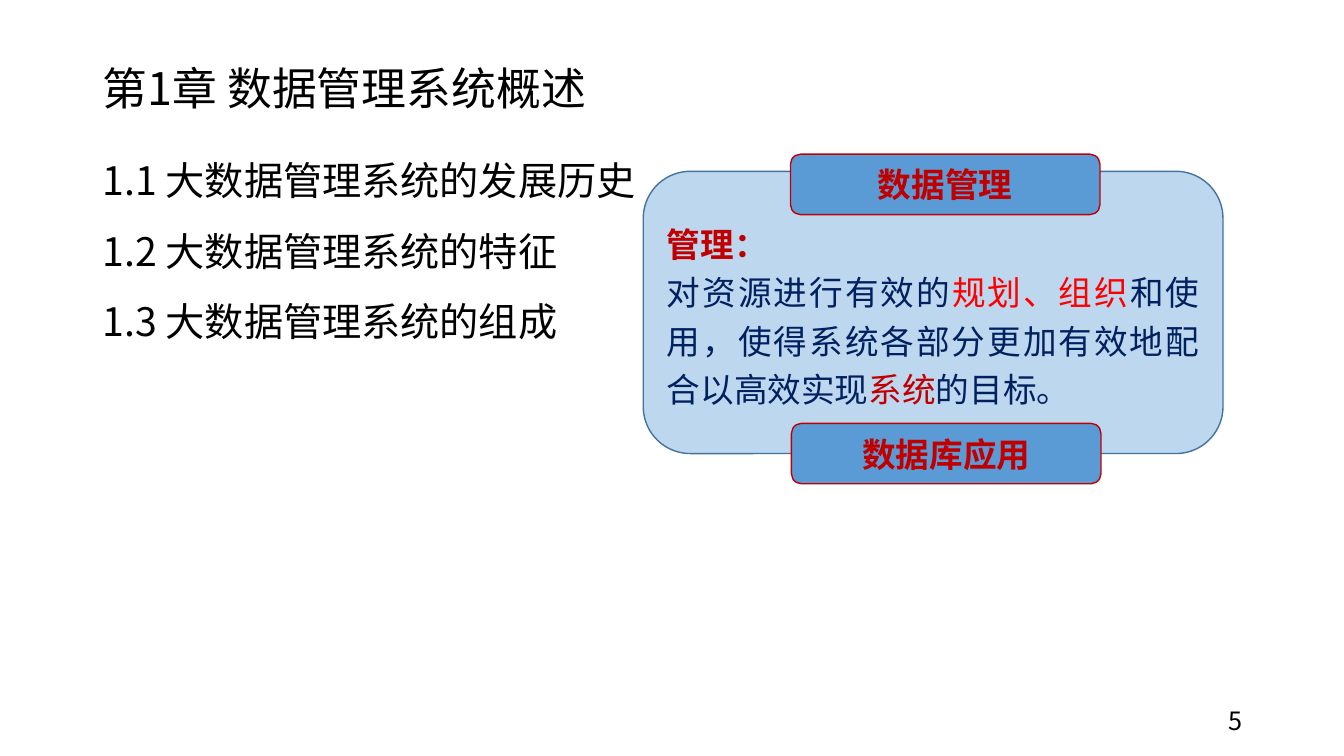
from lxml import etree
from pptx import Presentation
from pptx.dml.color import RGBColor
from pptx.enum.shapes import MSO_SHAPE
from pptx.enum.text import MSO_ANCHOR, PP_ALIGN
from pptx.oxml.ns import qn
from pptx.util import Inches, Pt

ROUNDED = MSO_SHAPE.ROUNDED_RECTANGLE
TOP, MIDDLE = MSO_ANCHOR.TOP, MSO_ANCHOR.MIDDLE
LEFT, CENTER = PP_ALIGN.LEFT, PP_ALIGN.CENTER
RIGHT, JUSTIFY = PP_ALIGN.RIGHT, PP_ALIGN.JUSTIFY
FONT = "Noto Sans CJK SC"
COLORS = {
    "black": "000000", "navy": "002060", "red": "FF0000", "dark_red": "C00000",
    "panel": "BDD7EE", "panel_line": "43739E", "label": "5B9BD5",
}

prs = Presentation()
prs.slide_width, prs.slide_height = Inches(13.33), Inches(7.5)
s = prs.slides.add_slide(prs.slide_layouts[6])


def add_text(sp, paragraphs, size, color="black", bold=False, align=LEFT,
             anchor=MIDDLE, line_spacing=None, space_before=0):
    """Each paragraph is a string or a list of (text, color, bold) runs."""
    tf = sp.text_frame
    tf.word_wrap = True
    tf.vertical_anchor = anchor
    for i, runs in enumerate(paragraphs):
        p = tf.add_paragraph() if i else tf.paragraphs[0]
        p.alignment = align
        p.line_spacing = line_spacing
        p.space_before = Pt(space_before if i else 0)
        if isinstance(runs, str):
            runs = [(runs, color, bold)]
        for text, run_color, run_bold in runs:
            r = p.add_run()
            r.text = text
            r.font.size = Pt(size)
            r.font.bold = run_bold
            r.font.color.rgb = RGBColor.from_string(COLORS[run_color])
            r.font.name = FONT
            etree.SubElement(r.font._element, qn("a:ea"), typeface=FONT)


def add_box(left, top, width, height, fill, line):
    sp = s.shapes.add_shape(ROUNDED, Inches(left), Inches(top), Inches(width), Inches(height))
    sp.shadow.inherit = False
    sp.fill.solid()
    sp.fill.fore_color.rgb = RGBColor.from_string(COLORS[fill])
    sp.line.color.rgb = RGBColor.from_string(COLORS[line])
    sp.line.width = Pt(1)
    return sp


# Title
title = s.shapes.add_textbox(Inches(0.92), Inches(0.4), Inches(11.5), Inches(1.01))
add_text(title, ["第1章 数据管理系统概述"], 32, line_spacing=0.9)

# Section list
sections = s.shapes.add_textbox(Inches(0.92), Inches(1.41), Inches(11.5), Inches(4.76))
add_text(sections,
         ["1.1 大数据管理系统的发展历史", "1.2 大数据管理系统的特征", "1.3 大数据管理系统的组成"],
         28, anchor=TOP, line_spacing=1.2, space_before=10)

# Page number
number = s.shapes.add_textbox(Inches(9.42), Inches(6.95), Inches(3), Inches(0.4))
add_text(number, ["5"], 18, align=RIGHT)

# Definition panel
panel = add_box(6.38, 1.7, 5.75, 2.8, "panel", "panel_line")
definition = [
    ("对资源进行有效的", "navy", False),
    ("规划、组织", "red", False),
    ("和使用，使得系统各部分更加有效地配合以高效实现", "navy", False),
    ("系统", "dark_red", False),
    ("的目标。", "navy", False),
]
add_text(panel, [[("管理：", "dark_red", True)], definition], 24,
         align=JUSTIFY, line_spacing=1.2)

# Labels on the panel's lower and upper edges
for text, left, top in [("数据库应用", 7.85, 4.2), ("数据管理", 7.84, 1.53)]:
    label = add_box(left, top, 3.07, 0.6, "label", "dark_red")
    add_text(label, [text], 24, color="dark_red", bold=True, align=CENTER)

prs.save("out.pptx")
